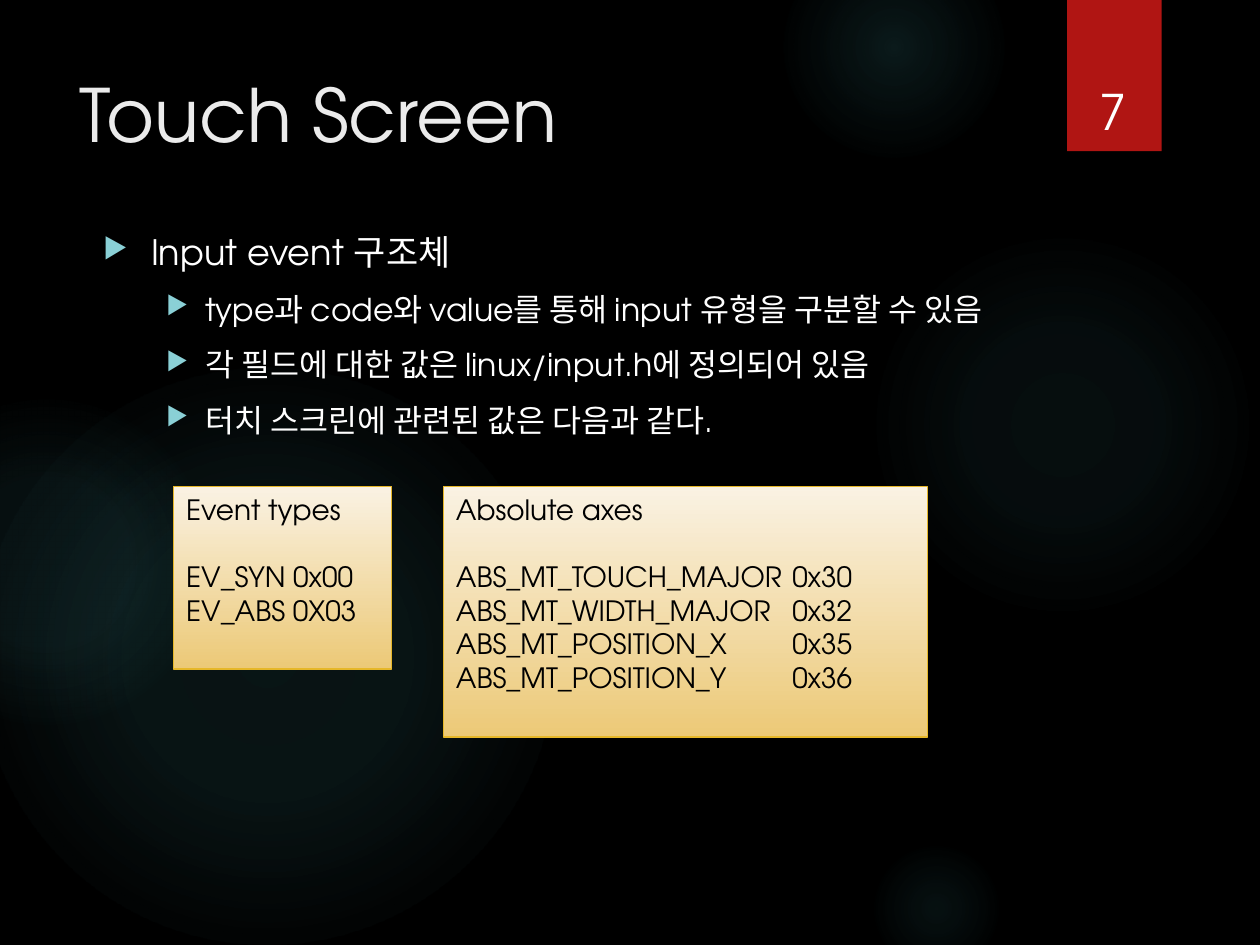
"""Build the Touch Screen slide about input events."""
from dataclasses import dataclass

from lxml.etree import SubElement
from pptx import Presentation
from pptx.dml.color import RGBColor
from pptx.enum.shapes import MSO_SHAPE
from pptx.enum.text import MSO_ANCHOR, PP_ALIGN
from pptx.oxml.ns import qn
from pptx.util import Inches, Pt


@dataclass(frozen=True)
class Theme:
    font: str = "TeX Gyre Adventor"
    background: str = "000000"
    glow: str = "50B9C1"
    accent: str = "B01513"
    title: str = "EBEBEB"
    light: str = "FFFFFF"
    dark: str = "000000"
    bullet: str = "8AD0D6"
    panel_top: str = "FAF2E3"
    panel_bottom: str = "ECC977"
    panel_line: str = "E6B729"
    title_size: int = 42
    number_size: int = 28
    body_sizes: tuple = (20, 18)
    panel_size: int = 16


@dataclass(frozen=True)
class Glow:
    left: float
    top: float
    size: float
    alphas: tuple
    edge: int


@dataclass(frozen=True)
class Bullet:
    text: str
    level: int = 1


@dataclass(frozen=True)
class Panel:
    left: float
    width: float
    height: float
    heading: str
    rows: tuple


THEME = Theme()
PANEL_TOP = 3.86
VALUE_TAB = 2.67
INDENTS = ((0.38, -0.38), (0.81, -0.31))

GLOWS = (
    Glow(6.89, 1.83, 3.08, (7, 6), 69),
    Glow(6.22, -0.5, 1.75, (14, 7), 73),
    Glow(6.89, 6.67, 1.08, (9, 5), 66),
    Glow(-0.17, 2.92, 4.58, (11, 10), 75),
    Glow(-0.92, 3.17, 2.58, (8, 8), 72),
)

BULLETS = (
    Bullet("Input event 구조체", 0),
    Bullet("type과 code와 value를 통해 input 유형을 구분할 수 있음"),
    Bullet("각 필드에 대한 값은 linux/input.h에 정의되어 있음"),
    Bullet("터치 스크린에 관련된 값은 다음과 같다."),
)

PANELS = (
    Panel(1.38, 1.73, 1.45, "Event types", ("EV_SYN 0x00", "EV_ABS 0X03")),
    Panel(3.52, 3.84, 1.99, "Absolute axes", (
        "ABS_MT_TOUCH_MAJOR\t0x30",
        "ABS_MT_WIDTH_MAJOR\t0x32",
        "ABS_MT_POSITION_X\t0x35",
        "ABS_MT_POSITION_Y\t0x36",
    )),
)


def add_text(tf, text: str, *, size: int, color: str, align=PP_ALIGN.LEFT,
             before: float = 0, after: float = 0):
    """Append a formatted paragraph to a text frame and return it."""
    p = tf.paragraphs[0] if not tf.text else tf.add_paragraph()
    p.alignment = align
    p.space_before, p.space_after = Pt(before), Pt(after)
    r = p.add_run()
    r.text = text
    r.font.name = THEME.font
    r.font.size = Pt(size)
    r.font.color.rgb = RGBColor.from_string(color)
    return p


def add_frame(s, left: float, top: float, width: float, height: float,
              anchor=MSO_ANCHOR.TOP):
    """Add a wrapping text box and return its text frame."""
    tf = s.shapes.add_textbox(Inches(left), Inches(top), Inches(width), Inches(height)).text_frame
    tf.word_wrap = True
    tf.vertical_anchor = anchor
    return tf


def add_plain_shape(s, kind, left: float, top: float, width: float, height: float):
    """Add a preset shape without line or shadow."""
    sp = s.shapes.add_shape(kind, Inches(left), Inches(top), Inches(width), Inches(height))
    sp.shadow.inherit = False
    sp.line.fill.background()
    return sp


def set_gradient(sp, stops: tuple, radial: bool = False) -> None:
    """Fill a shape with stops of position, colour and opacity in percent."""
    sp.fill.gradient()
    grad = sp.fill._xPr.find(qn("a:gradFill"))
    for child in list(grad):
        grad.remove(child)
    gs_list = SubElement(grad, qn("a:gsLst"))
    for pos, color, alpha in stops:
        gs = SubElement(gs_list, qn("a:gs"), pos=str(pos * 1000))
        clr = SubElement(gs, qn("a:srgbClr"), val=color)
        SubElement(clr, qn("a:alpha"), val=str(alpha * 1000))
    if radial:
        shade = SubElement(grad, qn("a:path"), path="circle")
        SubElement(shade, qn("a:fillToRect"), {side: "50000" for side in "ltrb"})
    else:
        SubElement(grad, qn("a:lin"), ang="5400000", scaled="0")


def add_glow(s, glow: Glow) -> None:
    """Draw a soft circle that fades out towards its edge."""
    sp = add_plain_shape(s, MSO_SHAPE.OVAL, glow.left, glow.top, glow.size, glow.size)
    stops = zip((0, 36, glow.edge), (THEME.glow,) * 3, (*glow.alphas, 0))
    set_gradient(sp, tuple(stops), radial=True)


def add_bullet(tf, bullet: Bullet) -> None:
    """Append a paragraph with a coloured triangle bullet."""
    p = add_text(tf, bullet.text, size=THEME.body_sizes[bullet.level],
                 color=THEME.light, before=10)
    p.level = bullet.level
    margin, indent = INDENTS[bullet.level]
    pPr = p._p.get_or_add_pPr()
    pPr.set("marL", str(Inches(margin)))
    pPr.set("indent", str(Inches(indent)))
    clr = SubElement(pPr, qn("a:buClr"))
    SubElement(clr, qn("a:srgbClr"), val=THEME.bullet)
    SubElement(pPr, qn("a:buSzPct"), val="80000")
    SubElement(pPr, qn("a:buChar"), char="▶")


def add_panel(s, panel: Panel) -> None:
    """Draw a gradient panel with a heading and rows of constants."""
    sp = add_plain_shape(s, MSO_SHAPE.RECTANGLE, panel.left, PANEL_TOP, panel.width, panel.height)
    set_gradient(sp, ((0, THEME.panel_top, 100), (100, THEME.panel_bottom, 100)))
    sp.line.color.rgb = RGBColor.from_string(THEME.panel_line)
    sp.line.width = Pt(0.75)
    tf = sp.text_frame
    tf.word_wrap = True
    tf.vertical_anchor = MSO_ANCHOR.TOP
    style = {"size": THEME.panel_size, "color": THEME.dark}
    add_text(tf, panel.heading, after=THEME.panel_size * 1.2, **style)
    for row in panel.rows:
        p = add_text(tf, row, **style)
        if "\t" in row:
            tabs = SubElement(p._p.get_or_add_pPr(), qn("a:tabLst"))
            SubElement(tabs, qn("a:tab"), pos=str(Inches(VALUE_TAB)), algn="l")


def main() -> None:
    """Build and save the presentation."""
    prs = Presentation()
    prs.slide_width, prs.slide_height = Inches(10), Inches(7.5)
    s = prs.slides.add_slide(prs.slide_layouts[6])
    s.background.fill.solid()
    s.background.fill.fore_color.rgb = RGBColor.from_string(THEME.background)
    for glow in GLOWS:
        add_glow(s, glow)
    ribbon = add_plain_shape(s, MSO_SHAPE.RECTANGLE, 8.47, 0, 0.75, 1.2)
    ribbon.fill.solid()
    ribbon.fill.fore_color.rgb = RGBColor.from_string(THEME.accent)
    add_text(add_frame(s, 0.53, 0.5, 7.72, 1.53), "Touch Screen",
             size=THEME.title_size, color=THEME.title)
    body = add_frame(s, 0.72, 1.78, 7.78, 5.45)
    for bullet in BULLETS:
        add_bullet(body, bullet)
    add_text(add_frame(s, 8.49, 0.32, 0.69, 0.84, MSO_ANCHOR.BOTTOM), "7",
             size=THEME.number_size, color=THEME.light, align=PP_ALIGN.CENTER)
    for panel in PANELS:
        add_panel(s, panel)
    prs.save("out.pptx")


if __name__ == "__main__":
    main()
